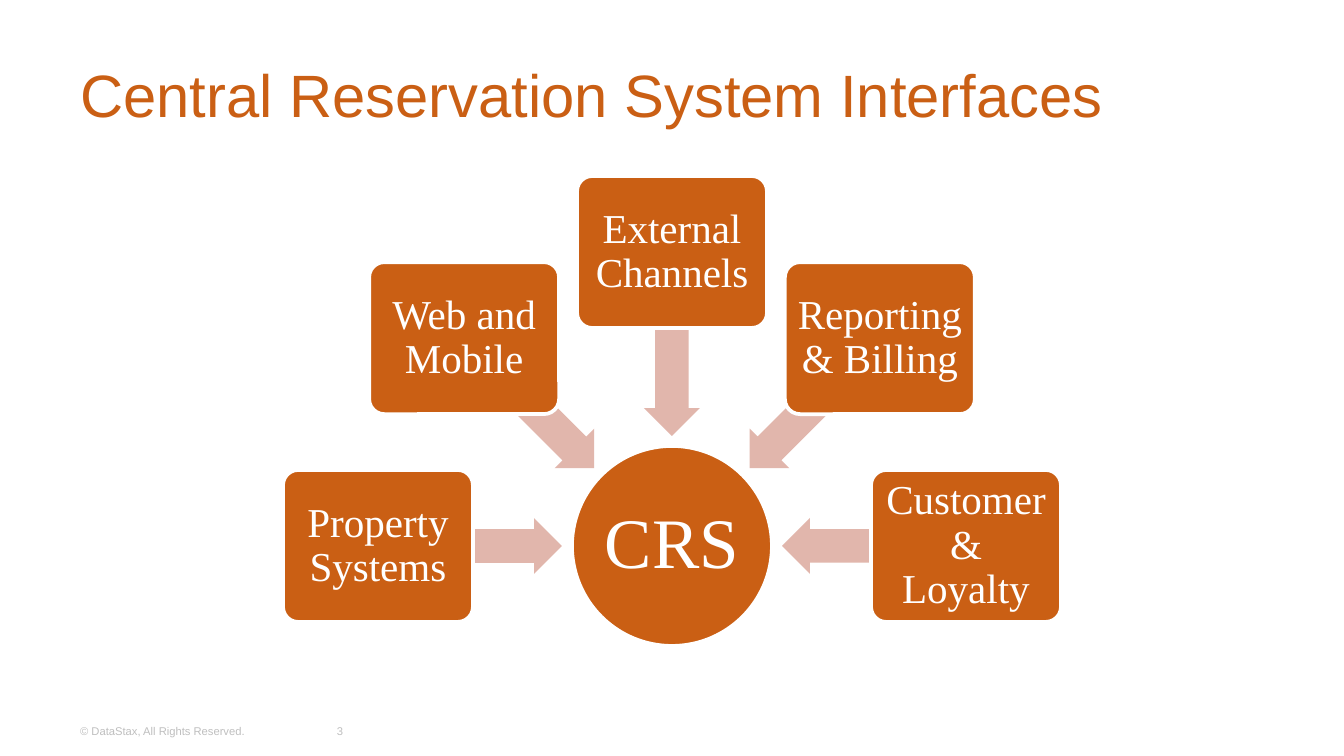
from dataclasses import dataclass
from math import cos, radians, sin

from pptx import Presentation
from pptx.dml.color import RGBColor
from pptx.enum.shapes import MSO_SHAPE as SHAPE
from pptx.enum.text import MSO_ANCHOR as ANCHOR, PP_ALIGN as ALIGN
from pptx.util import Emu, Pt

EMU_PER_PX = 914400 / 134.4


@dataclass(frozen=True)
class Theme:
    accent: RGBColor = RGBColor.from_string("CA5F14")
    arrow: RGBColor = RGBColor.from_string("E1B6AC")
    white: RGBColor = RGBColor.from_string("FFFFFF")
    muted: RGBColor = RGBColor.from_string("BFBFBF")
    sans: str = "Arial"
    serif: str = "Times New Roman"
    title: int = 32
    hub: int = 38
    node: int = 22
    footer: int = 6
    outline: int = 2


THEME = Theme()
HUB_X, HUB_Y, HUB_SIZE = 672, 546, 200
NODE_W, NODE_H, NODE_RADIUS = 190, 152, 294
ARROW_W, ARROW_H, ARROW_RADIUS = 184, 56, 202
NODES = ["Property Systems", "Web and Mobile", "External Channels",
         "Reporting & Billing", "Customer & Loyalty"]


def px(n):
    return Emu(round(n * EMU_PER_PX))


def centered(x, y, w, h):
    return px(x - w / 2), px(y - h / 2), px(w), px(h)


def on_ring(radius, angle):
    """Point around the hub; angles run clockwise from the right."""
    a = radians(angle)
    return HUB_X + radius * cos(a), HUB_Y + radius * sin(a)


def set_text(tf, text, font, size, color, align=ALIGN.LEFT):
    tf.text = text
    tf.word_wrap = True
    tf.vertical_anchor = ANCHOR.MIDDLE
    p = tf.paragraphs[0]
    p.alignment = align
    f = p.runs[0].font
    f.name, f.size, f.color.rgb = font, Pt(size), color


def add_title(s, text):
    sp = s.shapes.title
    sp.left, sp.top, sp.width, sp.height = px(67), px(31), px(1210), px(126)
    set_text(sp.text_frame, text, THEME.sans, THEME.title, THEME.accent)


def add_footer(s, text, left, width, align):
    sp = s.shapes.add_textbox(px(left), px(711), px(width), px(40))
    set_text(sp.text_frame, text, THEME.sans, THEME.footer, THEME.muted, align)


def add_block(s, kind, box, text, size, inset):
    """Outlined accent shape with its label centred inside."""
    sp = s.shapes.add_shape(kind, *box)
    sp.shadow.inherit = False
    sp.fill.solid()
    sp.fill.fore_color.rgb = THEME.accent
    sp.line.color.rgb = THEME.white
    sp.line.width = Pt(THEME.outline)
    tf = sp.text_frame
    tf.margin_left = tf.margin_right = tf.margin_top = tf.margin_bottom = px(inset)
    set_text(tf, text, THEME.serif, size, THEME.white, ALIGN.CENTER)
    tf.paragraphs[0].line_spacing = 0.9
    return sp


def add_hub(s, text):
    sp = add_block(s, SHAPE.OVAL, centered(HUB_X, HUB_Y, HUB_SIZE, HUB_SIZE),
                   text, THEME.hub, 0)
    sp.text_frame.word_wrap = False


def add_arrow(s, angle):
    """Block arrow pointing at the hub from the given angle."""
    x, y = on_ring(ARROW_RADIUS, angle)
    sp = s.shapes.add_shape(SHAPE.LEFT_ARROW, *centered(x, y, ARROW_W, ARROW_H))
    sp.adjustments[0], sp.adjustments[1] = 0.6, 0.5
    sp.rotation = angle
    sp.shadow.inherit = False
    sp.fill.solid()
    sp.fill.fore_color.rgb = THEME.arrow
    sp.line.fill.background()


def add_node(s, text, angle):
    x, y = on_ring(NODE_RADIUS, angle)
    sp = add_block(s, SHAPE.ROUNDED_RECTANGLE, centered(x, y, NODE_W, NODE_H),
                   text, THEME.node, 6)
    sp.adjustments[0] = 0.1


def main():
    prs = Presentation()
    prs.slide_width, prs.slide_height = px(1344), px(756)
    s = prs.slides.add_slide(prs.slide_layouts[5])

    add_title(s, "Central Reservation System Interfaces")
    add_footer(s, "© DataStax, All Rights Reserved.", 67, 234, ALIGN.LEFT)
    add_footer(s, "3", 310, 60, ALIGN.CENTER)

    add_hub(s, "CRS")
    step = 180 / (len(NODES) - 1)
    for i, text in enumerate(NODES):
        angle = (180 + i * step) % 360
        add_arrow(s, angle)
        add_node(s, text, angle)

    prs.save("out.pptx")


if __name__ == "__main__":
    main()
